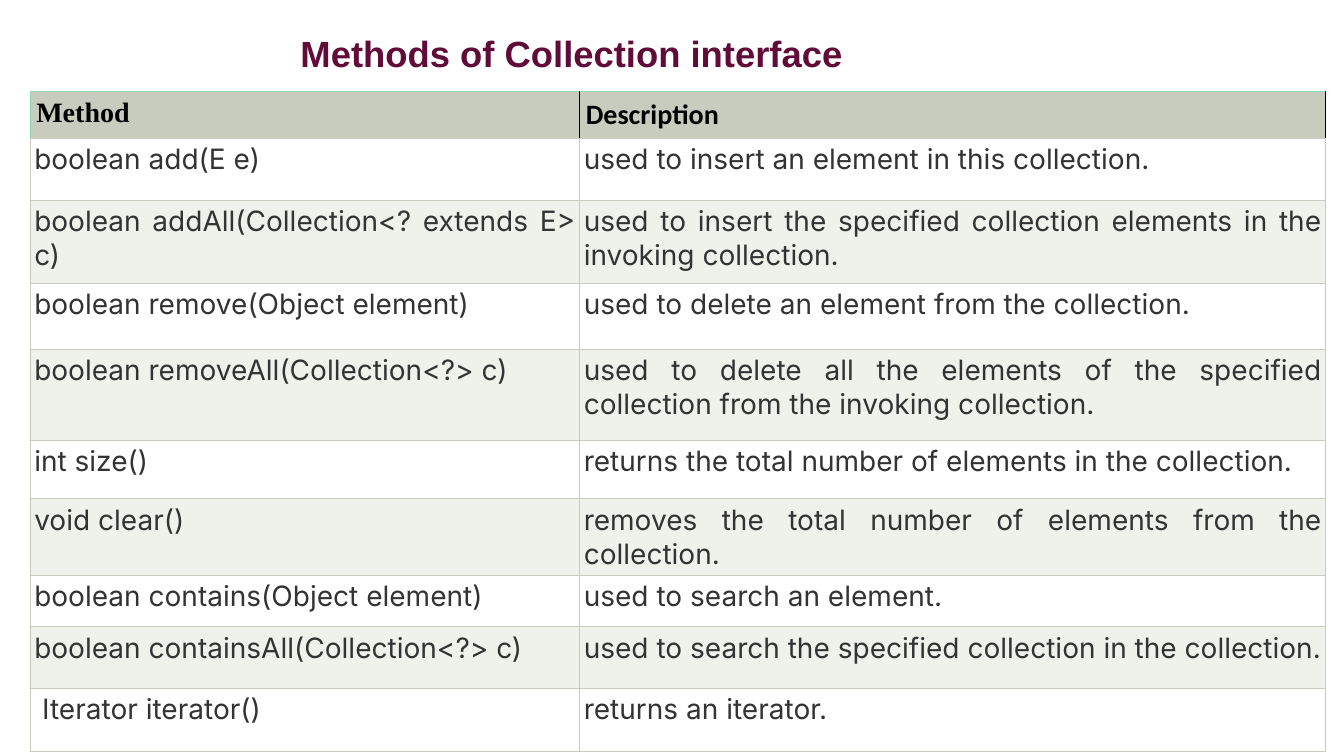
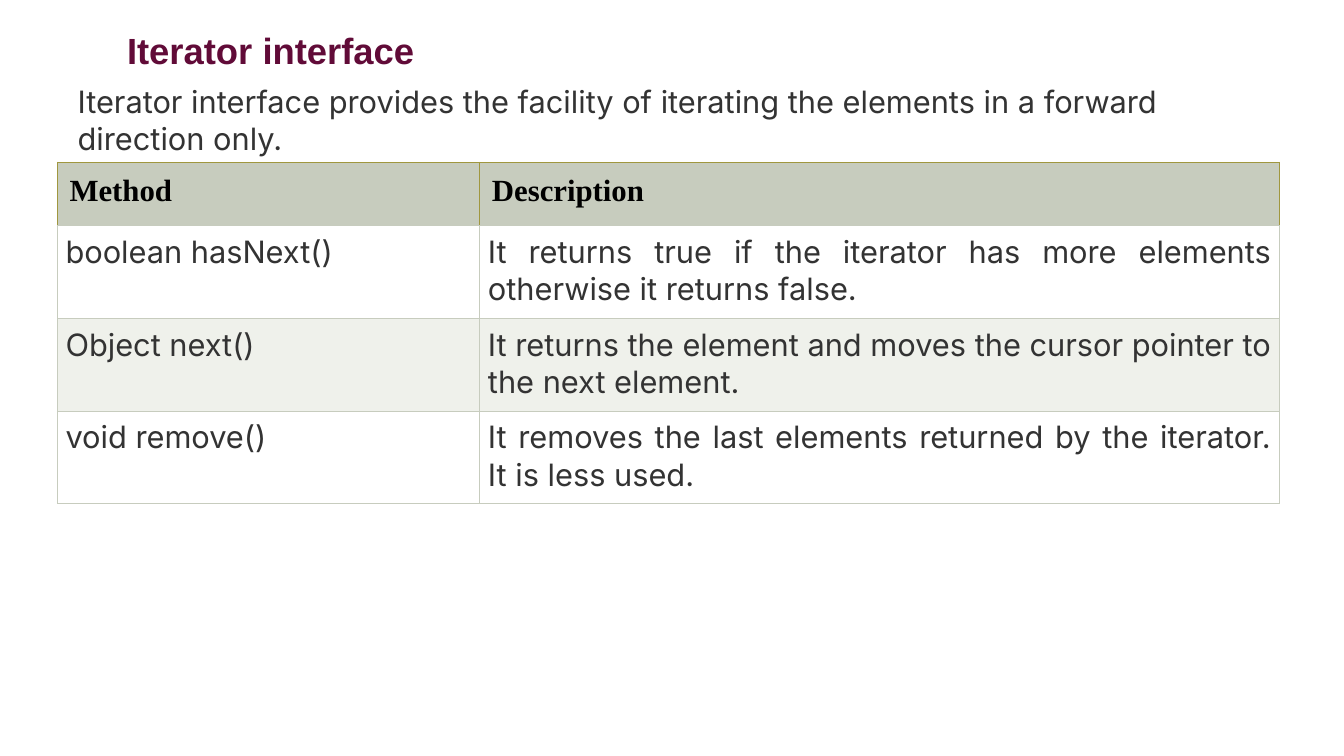
"""Build two slides on the methods of the Collection and Iterator interfaces."""
from dataclasses import dataclass

from pptx import Presentation
from pptx.dml.color import RGBColor
from pptx.enum.text import MSO_ANCHOR, MSO_AUTO_SIZE, PP_ALIGN
from pptx.oxml.xmlchemy import OxmlElement
from pptx.slide import Slide
from pptx.table import _Cell
from pptx.text.text import TextFrame
from pptx.util import Inches, Pt

LEFT, JUSTIFY = PP_ALIGN.LEFT, PP_ALIGN.JUSTIFY
TOP = MSO_ANCHOR.TOP
GROW = MSO_AUTO_SIZE.SHAPE_TO_FIT_TEXT

BLACK = RGBColor(0x00, 0x00, 0x00)
WHITE = RGBColor(0xFF, 0xFF, 0xFF)
WINE = RGBColor(0x61, 0x0B, 0x38)
INK = RGBColor(0x33, 0x33, 0x33)
SAGE = RGBColor(0xC7, 0xCC, 0xBE)
PALE = RGBColor(0xEF, 0xF1, 0xEB)
MINT = RGBColor(0x90, 0xD9, 0xB9)
OLIVE = RGBColor(0xA0, 0x97, 0x3F)

Box = tuple[float, float, float, float]
Edges = tuple[RGBColor, RGBColor, RGBColor, RGBColor]
SIDES = ("a:lnL", "a:lnR", "a:lnT", "a:lnB")
PLAIN: Edges = (SAGE, SAGE, SAGE, SAGE)
FRAME: Edges = (OLIVE, OLIVE, OLIVE, SAGE)


@dataclass(frozen=True)
class Font:
    """Look of a text run."""
    name: str
    size: int
    color: RGBColor
    bold: bool = False


@dataclass(frozen=True)
class Head:
    """One header cell with its edges: left, right, top, bottom."""
    text: str
    font: Font
    edges: Edges


@dataclass(frozen=True)
class Grid:
    """A table of methods."""
    left: float
    top: float
    cols: tuple[float, ...]
    tall: tuple[float, ...]
    heads: tuple[Head, ...]
    rows: tuple[tuple[str, str], ...]
    font: Font
    pad_head: float
    pad: float


TITLE = Font("Arial", 26, WINE, True)
SMALL = Font("Inter", 20, INK)
LARGE = Font("Inter", 22, INK)
SERIF = Font("Times New Roman", 22, BLACK, True)

METHODS = Grid(
    0.3, 0.91, (5.45, 7.4),
    (0.46, 0.62, 0.82, 0.66, 0.9, 0.58, 0.76, 0.51, 0.61, 0.63),
    (Head("Method", Font("Times New Roman", 20, BLACK, True), (MINT, BLACK, MINT, SAGE)),
     Head("Description", Font("Calibri", 20, BLACK, True), (BLACK, BLACK, MINT, SAGE))),
    (("boolean add(E e)", "used to insert an element in this collection."),
     ("boolean addAll(Collection<? extends E> c)",
      "used to insert the specified collection elements in the invoking collection."),
     ("boolean remove(Object element)", "used to delete an element from the collection."),
     ("boolean removeAll(Collection<?> c)",
      "used to delete all the elements of the specified collection "
      "from the invoking collection."),
     ("int size()", "returns the total number of elements in the collection."),
     ("void clear()", "removes the total number of elements from the collection."),
     ("boolean contains(Object element)", "used to search an element."),
     ("boolean containsAll(Collection<?> c)",
      "used to search the specified collection in the collection."),
     (" Iterator iterator()", "returns an iterator.")),
    SMALL, 0.06, 0.04)

CURSOR = Grid(
    0.57, 1.61, (4.19, 7.93), (0.63, 0.92, 0.92, 0.92),
    (Head("Method", SERIF, FRAME), Head("Description", SERIF, FRAME)),
    (("boolean hasNext()",
      "It returns true if the iterator has more elements otherwise it returns false."),
     ("Object next()",
      "It returns the element and moves the cursor pointer to the next element."),
     ("void remove()",
      "It removes the last elements returned by the iterator. It is less used.")),
    LARGE, 0.12, 0.08)


def write(frame: TextFrame, text: str, font: Font, align: PP_ALIGN) -> None:
    """Add one run to the first paragraph of a frame."""
    para = frame.paragraphs[0]
    para.alignment = align
    run = para.add_run()
    run.text = text
    run.font.name = font.name
    run.font.size = Pt(font.size)
    run.font.bold = font.bold
    run.font.color.rgb = font.color


def fill_holder(slide: Slide, index: int, box: Box, text: str, font: Font,
                align: PP_ALIGN, wrap: bool) -> None:
    """Move a placeholder and fill it with unmarked text."""
    holder = slide.placeholders[index]
    holder.left, holder.top, holder.width, holder.height = map(Inches, box)
    frame = holder.text_frame
    frame.word_wrap = wrap
    frame.auto_size = GROW
    frame.vertical_anchor = TOP
    write(frame, text, font, align)
    para = frame.paragraphs[0]
    para.space_before = Pt(0)
    props = para._p.get_or_add_pPr()
    props.set("marL", "0")
    props.set("indent", "0")
    props.append(OxmlElement("a:buNone"))


def add_edges(cell: _Cell, edges: Edges) -> None:
    """Draw the four borders of a cell."""
    props = cell._tc.get_or_add_tcPr()
    for side, color in zip(SIDES, edges):
        line = OxmlElement(side)
        line.set("w", str(Pt(0.75)))
        paint = OxmlElement("a:solidFill")
        tint = OxmlElement("a:srgbClr")
        tint.set("val", str(color))
        paint.append(tint)
        line.append(paint)
        props.append(line)


def set_cell(cell: _Cell, text: str, font: Font, align: PP_ALIGN,
             pad: float, edges: Edges, fill: RGBColor) -> None:
    """Style one cell and write its text."""
    cell.margin_left = cell.margin_right = Inches(pad)
    cell.margin_top = cell.margin_bottom = Inches(pad)
    add_edges(cell, edges)
    cell.fill.solid()
    cell.fill.fore_color.rgb = fill
    write(cell.text_frame, text, font, align)


def add_grid(slide: Slide, grid: Grid) -> None:
    """Draw a table with a header and striped rows."""
    table = slide.shapes.add_table(
        len(grid.tall), len(grid.cols), Inches(grid.left), Inches(grid.top),
        Inches(sum(grid.cols)), Inches(sum(grid.tall))).table
    table.first_row = table.horz_banding = False
    for col, width in zip(table.columns, grid.cols):
        col.width = Inches(width)
    for row, height in zip(table.rows, grid.tall):
        row.height = Inches(height)
    for x, head in enumerate(grid.heads):
        set_cell(table.cell(0, x), head.text, head.font, LEFT,
                 grid.pad_head, head.edges, SAGE)
    for y, texts in enumerate(grid.rows, 1):
        for x, text in enumerate(texts):
            set_cell(table.cell(y, x), text, grid.font, JUSTIFY,
                     grid.pad, PLAIN, WHITE if y % 2 else PALE)


def main() -> None:
    """Build and save the deck."""
    deck = Presentation()
    deck.slide_width, deck.slide_height = Inches(13.33), Inches(7.5)
    body, bare = deck.slide_layouts[1], deck.slide_layouts[5]

    slide = deck.slides.add_slide(bare)
    fill_holder(slide, 0, (2.88, 0.26, 5.63, 0.54),
                "Methods of Collection interface", TITLE, JUSTIFY, False)
    add_grid(slide, METHODS)

    slide = deck.slides.add_slide(body)
    fill_holder(slide, 0, (1.16, 0.23, 3.7, 0.54),
                "Iterator interface", TITLE, JUSTIFY, False)
    fill_holder(slide, 1, (0.67, 0.77, 12.01, 0.84),
                "Iterator interface provides the facility of iterating the elements "
                "in a forward direction only.", LARGE, LEFT, True)
    add_grid(slide, CURSOR)

    deck.save("out.pptx")


main()
